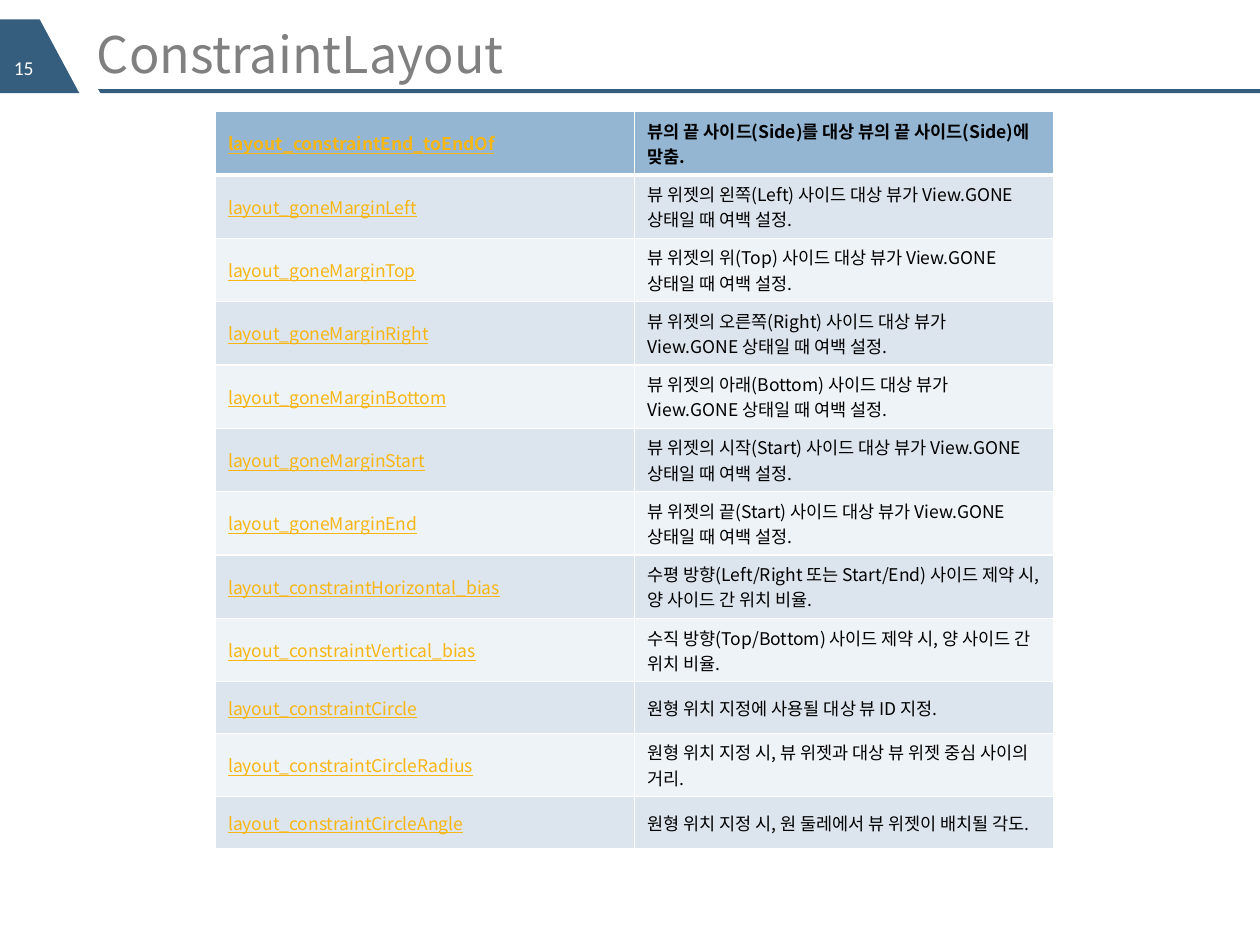
from lxml import etree
from pptx import Presentation
from pptx import util as u
from pptx.dml.color import RGBColor
from pptx.enum import text as t
from pptx.oxml.ns import qn

SANS = "Noto Sans CJK KR"
BLUE, WHITE, GOLD = "355D7E", "FFFFFF", "F7B615"
HEAD, BANDS = "94B6D2", ("EEF3F7", "DCE5EE")

ROWS = [
    ("layout_constraintEnd_toEndOf", "뷰의 끝 사이드(Side)를 대상 뷰의 끝 사이드(Side)에 맞춤."),
    ("layout_goneMarginLeft", "뷰 위젯의 왼쪽(Left) 사이드 대상 뷰가 View.GONE 상태일 때 여백 설정."),
    ("layout_goneMarginTop", "뷰 위젯의 위(Top) 사이드 대상 뷰가 View.GONE 상태일 때 여백 설정."),
    ("layout_goneMarginRight", "뷰 위젯의 오른쪽(Right) 사이드 대상 뷰가 View.GONE 상태일 때 여백 설정."),
    ("layout_goneMarginBottom", "뷰 위젯의 아래(Bottom) 사이드 대상 뷰가 View.GONE 상태일 때 여백 설정."),
    ("layout_goneMarginStart", "뷰 위젯의 시작(Start) 사이드 대상 뷰가 View.GONE 상태일 때 여백 설정."),
    ("layout_goneMarginEnd", "뷰 위젯의 끝(Start) 사이드 대상 뷰가 View.GONE 상태일 때 여백 설정."),
    ("layout_constraintHorizontal_bias",
     "수평 방향(Left/Right 또는 Start/End) 사이드 제약 시, 양 사이드 간 위치 비율."),
    ("layout_constraintVertical_bias", "수직 방향(Top/Bottom) 사이드 제약 시, 양 사이드 간 위치 비율."),
    ("layout_constraintCircle", "원형 위치 지정에 사용될 대상 뷰 ID 지정."),
    ("layout_constraintCircleRadius", "원형 위치 지정 시, 뷰 위젯과 대상 뷰 위젯 중심 사이의 거리."),
    ("layout_constraintCircleAngle", "원형 위치 지정 시, 원 둘레에서 뷰 위젯이 배치될 각도."),
]


def rgb(code):
    return RGBColor.from_string(code)


def paint(fill, code):
    fill.solid()
    fill.fore_color.rgb = rgb(code)


def write(frame, words, size, color, face=SANS, **style):
    para = frame.paragraphs[0]
    para.alignment = t.PP_ALIGN.LEFT
    run = para.add_run()
    run.text = words
    form = {"size": u.Pt(size), "name": face, **style}
    for key, val in form.items():
        setattr(run.font, key, val)
    run.font.color.rgb = rgb(color)
    # Korean letters take the East Asian face
    east = etree.SubElement(run.font._element, qn("a:ea"))
    east.set("typeface", face)


def place(shape, *box):
    for key, val in zip(("left", "top", "width", "height"), box):
        setattr(shape, key, u.Cm(val))
    form = {"word_wrap": True, "auto_size": t.MSO_AUTO_SIZE.NONE,
            "vertical_anchor": t.MSO_ANCHOR.MIDDLE}
    for key, val in form.items():
        setattr(shape.text_frame, key, val)
    return shape.text_frame


def add_form(slide, points):
    dots = [(u.Cm(x), u.Cm(y)) for x, y in points]
    pen = slide.shapes.build_freeform(*dots[0])
    pen.add_line_segments(dots[1:], close=True)
    shape = pen.convert_to_shape()
    shape.shadow.inherit = False
    paint(shape.fill, BLUE)
    shape.line.fill.background()


def add_edges(cell, widths):
    props = cell._tc.get_or_add_tcPr()
    for spot, (side, width) in enumerate(widths.items()):
        line = etree.Element(qn("a:ln" + side), w=str(u.Pt(width)))
        fill = etree.SubElement(line, qn("a:solidFill"))
        etree.SubElement(fill, qn("a:srgbClr"), val=WHITE)
        props.insert(spot, line)


def add_grid(slide):
    high = 1.04
    grid = slide.shapes.add_table(
        len(ROWS), 2, u.Cm(4.33), u.Cm(2.25), u.Cm(16.92), u.Cm(high * len(ROWS))).table
    for i, row in enumerate(ROWS):
        grid.rows[i].height = u.Cm(high)
        for j, words in enumerate(row):
            cell = grid.cell(i, j)
            cell.vertical_anchor = t.MSO_ANCHOR.MIDDLE
            cell.margin_left = cell.margin_right = u.Cm(0.27)
            cell.margin_top = cell.margin_bottom = u.Cm(0.13)
            paint(cell.fill, BANDS[i % 2] if i else HEAD)
            # A thick rule sits under the first row
            add_edges(cell, {"L": 1, "R": 1, "T": 3 if i == 1 else 1, "B": 1 if i else 3})
            write(cell.text_frame, words, 10, "000000" if j else GOLD,
                  bold=i == 0, underline=j == 0)


def main():
    deck = Presentation()
    deck.slide_width, deck.slide_height = u.Cm(25.4), u.Cm(19.05)
    slide = deck.slides.add_slide(deck.slide_layouts[5])

    # Header rule and page tab
    add_form(slide, [(1.98, 1.8), (25.4, 1.8), (25.4, 1.88), (2.03, 1.88)])
    add_form(slide, [(0.8, 0.39), (1.6, 1.88), (0, 1.88), (0, 0.39)])
    page = slide.shapes.add_textbox(0, 0, 0, 0)
    write(place(page, 0.03, 1.02, 1.47, 0.69), "15", 11.2, WHITE, "Calibri")

    # Title
    title = place(slide.shapes.title, 1.7, 0.64, 22.66, 0.89)
    write(title, "ConstraintLayout", 28.8, "808080")

    # Attribute table
    add_grid(slide)
    deck.save("out.pptx")


if __name__ == "__main__":
    main()
